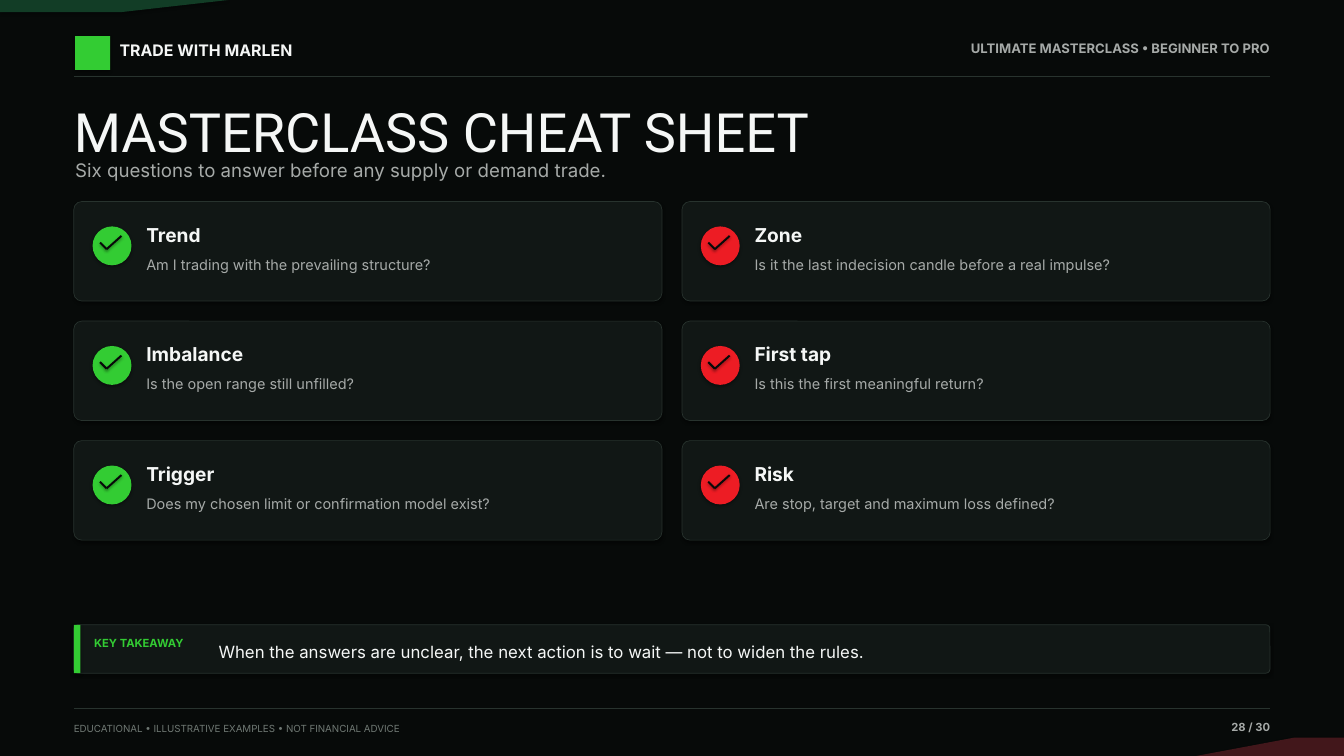
import pptx
import pptx.dml.color
import pptx.enum.shapes
import pptx.enum.text
import pptx.oxml
import pptx.oxml.ns
import pptx.util

Cm = pptx.util.Cm
Pt = pptx.util.Pt
RGBColor = pptx.dml.color.RGBColor
SHAPE = pptx.enum.shapes.MSO_SHAPE
ALIGN = pptx.enum.text.PP_ALIGN
ANCHOR = pptx.enum.text.MSO_ANCHOR

BLACK = RGBColor(0x07, 0x0A, 0x09)
PANEL = RGBColor(0x11, 0x17, 0x15)
RULE = RGBColor(0x28, 0x33, 0x2E)
GREEN = RGBColor(0x33, 0xCC, 0x33)
RED = RGBColor(0xED, 0x1C, 0x24)
DARK_GREEN = RGBColor(0x12, 0x3D, 0x26)
DARK_RED = RGBColor(0x42, 0x17, 0x1B)
WHITE = RGBColor(0xF5, 0xF7, 0xF6)
GREY = RGBColor(0xA6, 0xAA, 0xA8)
DIM = RGBColor(0x6F, 0x78, 0x73)

PAGE_W, PAGE_H = 50.8, 28.58
LEFT, CONTENT_W = 2.79, 45.21
RIGHT = LEFT + CONTENT_W
CARD_W, CARD_H, CARD_GAP = 22.23, 3.76, 0.76
CARDS_TOP = 7.62

QUESTIONS = [
    ("Trend", "Am I trading with the prevailing structure?"),
    ("Zone", "Is it the last indecision candle before a real impulse?"),
    ("Imbalance", "Is the open range still unfilled?"),
    ("First tap", "Is this the first meaningful return?"),
    ("Trigger", "Does my chosen limit or confirmation model exist?"),
    ("Risk", "Are stop, target and maximum loss defined?"),
]


class Deck:
    """Holds the house style and the slide being filled; lengths are in cm."""

    text_format = {"name": "Inter", "bold": False}
    frame_format = {
        "margin_left": 0, "margin_top": 0, "margin_right": 0, "margin_bottom": 0,
        "word_wrap": False,
        "auto_size": pptx.enum.text.MSO_AUTO_SIZE.SHAPE_TO_FIT_TEXT,
    }

    def __init__(self, slide):
        self.shapes = slide.shapes

    def shadow(self, element, opacity, distance):
        """Cast a soft black shadow straight down, replacing the theme's one."""
        properties = element.spPr
        for old in properties.findall(pptx.oxml.ns.qn("a:effectLst")):
            properties.remove(old)
        properties.append(pptx.oxml.parse_xml(
            f'<a:effectLst {pptx.oxml.ns.nsdecls("a")}>'
            f'<a:outerShdw blurRad="{Pt(3.1)}" dist="{Pt(distance)}" dir="5400000">'
            f'<a:srgbClr val="000000"><a:alpha val="{opacity * 1000}"/></a:srgbClr>'
            '</a:outerShdw></a:effectLst>'))

    def paint(self, shape, fill, border=None):
        shape.fill.solid()
        shape.fill.fore_color.rgb = fill
        if border:
            shape.line.color.rgb = RULE
            shape.line.width = Pt(border)
        else:
            shape.line.fill.background()
        self.shadow(shape._element, 35, 1.8)

    def block(self, kind, x, y, w, h, fill, border=None):
        shape = self.shapes.add_shape(kind, Cm(x), Cm(y), Cm(w), Cm(h))
        if kind == SHAPE.ROUNDED_RECTANGLE:
            shape.adjustments[0] = 0.08
        self.paint(shape, fill, border)

    def polygon(self, points, fill):
        start, *rest = [(Cm(x), Cm(y)) for x, y in points]
        builder = self.shapes.build_freeform(*start)
        builder.add_line_segments(rest, close=True)
        self.paint(builder.convert_to_shape(), fill)

    def line(self, start, end, color=RULE, width=0.8):
        connector = self.shapes.add_connector(
            pptx.enum.shapes.MSO_CONNECTOR.STRAIGHT,
            Cm(start[0]), Cm(start[1]), Cm(end[0]), Cm(end[1]))
        connector.line.color.rgb = color
        connector.line.width = Pt(width)
        self.shadow(connector._element, 38, 1.6)

    def text(self, words, x, y, w, h, size, color, align=ALIGN.LEFT,
             anchor=ANCHOR.TOP, spacing=1.18, **font):
        frame = self.shapes.add_textbox(Cm(x), Cm(y), Cm(w), Cm(h)).text_frame
        for key, value in {**self.frame_format, "vertical_anchor": anchor}.items():
            setattr(frame, key, value)
        paragraph = frame.paragraphs[0]
        paragraph.alignment = align
        if spacing:
            paragraph.line_spacing = spacing
        run = paragraph.add_run()
        run.text = words
        for key, value in {**self.text_format, "size": Pt(size), **font}.items():
            setattr(run.font, key, value)
        run.font.color.rgb = color

    def card(self, x, y, heading, question, accent):
        self.block(SHAPE.ROUNDED_RECTANGLE, x, y, CARD_W, CARD_H, PANEL, 0.7)
        self.block(SHAPE.OVAL, x + 0.71, y + 0.94, 1.47, 1.47, accent)
        tick = [(x + dx, y + dy) for dx, dy in ((0.99, 1.55), (1.24, 1.8), (1.8, 1.3))]
        for start, end in zip(tick, tick[1:]):
            self.line(start, end, BLACK, 2.1)
        self.text(heading, x + 2.74, y + 0.66, 18.42, 0.97, 20.5, WHITE, bold=True)
        self.text(question, x + 2.74, y + 1.93, 18.42, 1.14, 15.5, GREY)


def main():
    presentation = pptx.Presentation()
    presentation.slide_width = Cm(PAGE_W)
    presentation.slide_height = Cm(PAGE_H)
    deck = Deck(presentation.slides.add_slide(presentation.slide_layouts[6]))

    # Backdrop with corner accents
    deck.block(SHAPE.RECTANGLE, 0, 0, PAGE_W, PAGE_H, BLACK)
    deck.polygon([(0, 0), (8.64, 0), (4.57, 0.46), (0, 0.46)], DARK_GREEN)
    deck.polygon([(PAGE_W, PAGE_H), (45.21, PAGE_H), (48.9, 27.89), (PAGE_W, 27.89)],
                 DARK_RED)

    # Header and footer
    deck.block(SHAPE.RECTANGLE, 2.84, 1.37, 1.32, 1.27, GREEN)
    deck.text("TRADE WITH MARLEN", 4.52, 1.42, 9.91, 0.86, 17, WHITE, bold=True)
    deck.text("ULTIMATE MASTERCLASS • BEGINNER TO PRO", 35.56, 1.42, 12.45, 0.81, 14,
              GREY, ALIGN.RIGHT, bold=True)
    for y in (2.87, 26.77):
        deck.line((LEFT, y), (RIGHT, y))
    deck.text("EDUCATIONAL • ILLUSTRATIVE EXAMPLES • NOT FINANCIAL ADVICE",
              LEFT, 27.23, 20.32, 0.64, 10.5, DIM)
    deck.text("28 / 30", 43.69, 27.13, 4.32, 0.71, 12, GREY, ALIGN.RIGHT, bold=True)

    # Title
    deck.text("MASTERCLASS CHEAT SHEET", LEFT, 3.71, CONTENT_W, 2.24, 58, WHITE,
              spacing=None, name="Roboto")
    deck.text("Six questions to answer before any supply or demand trade.",
              2.84, 5.84, 43.69, 1.09, 20, GREY)

    # Checklist
    for index, (heading, question) in enumerate(QUESTIONS):
        row, column = divmod(index, 2)
        deck.card(LEFT + column * (CARD_W + CARD_GAP),
                  CARDS_TOP + row * (CARD_H + CARD_GAP),
                  heading, question, (GREEN, RED)[column])

    # Takeaway
    deck.block(SHAPE.ROUNDED_RECTANGLE, LEFT, 23.62, CONTENT_W, 1.83, PANEL, 0.8)
    deck.block(SHAPE.RECTANGLE, LEFT, 23.62, 0.25, 1.83, GREEN)
    deck.text("KEY TAKEAWAY", 3.56, 23.95, 4.7, 0.66, 12, GREEN, bold=True)
    deck.text("When the answers are unclear, the next action is to wait — "
              "not to widen the rules.", 8.26, 23.88, 39.07, 1.42, 18, WHITE,
              anchor=ANCHOR.MIDDLE)

    presentation.save("out.pptx")


if __name__ == "__main__":
    main()
